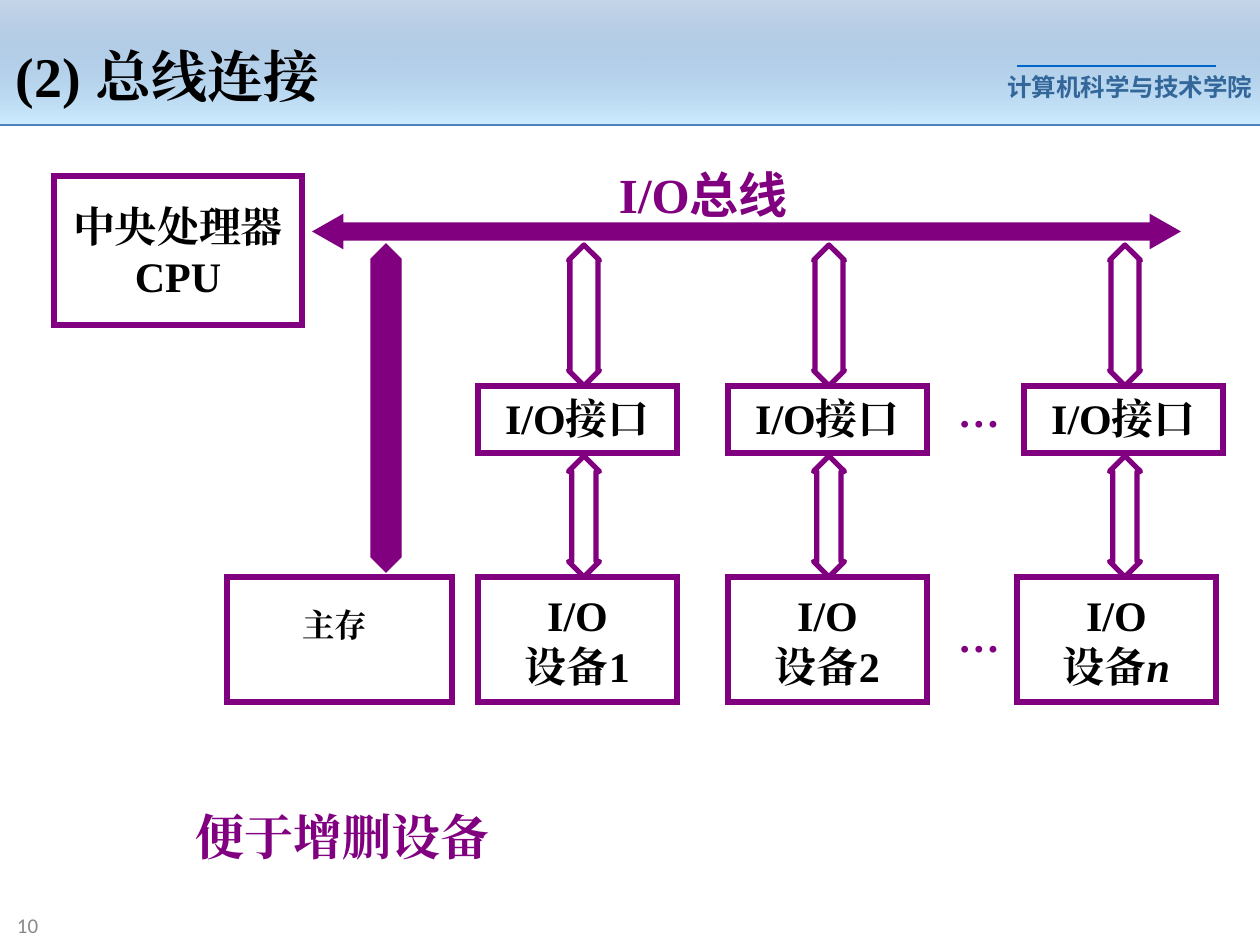
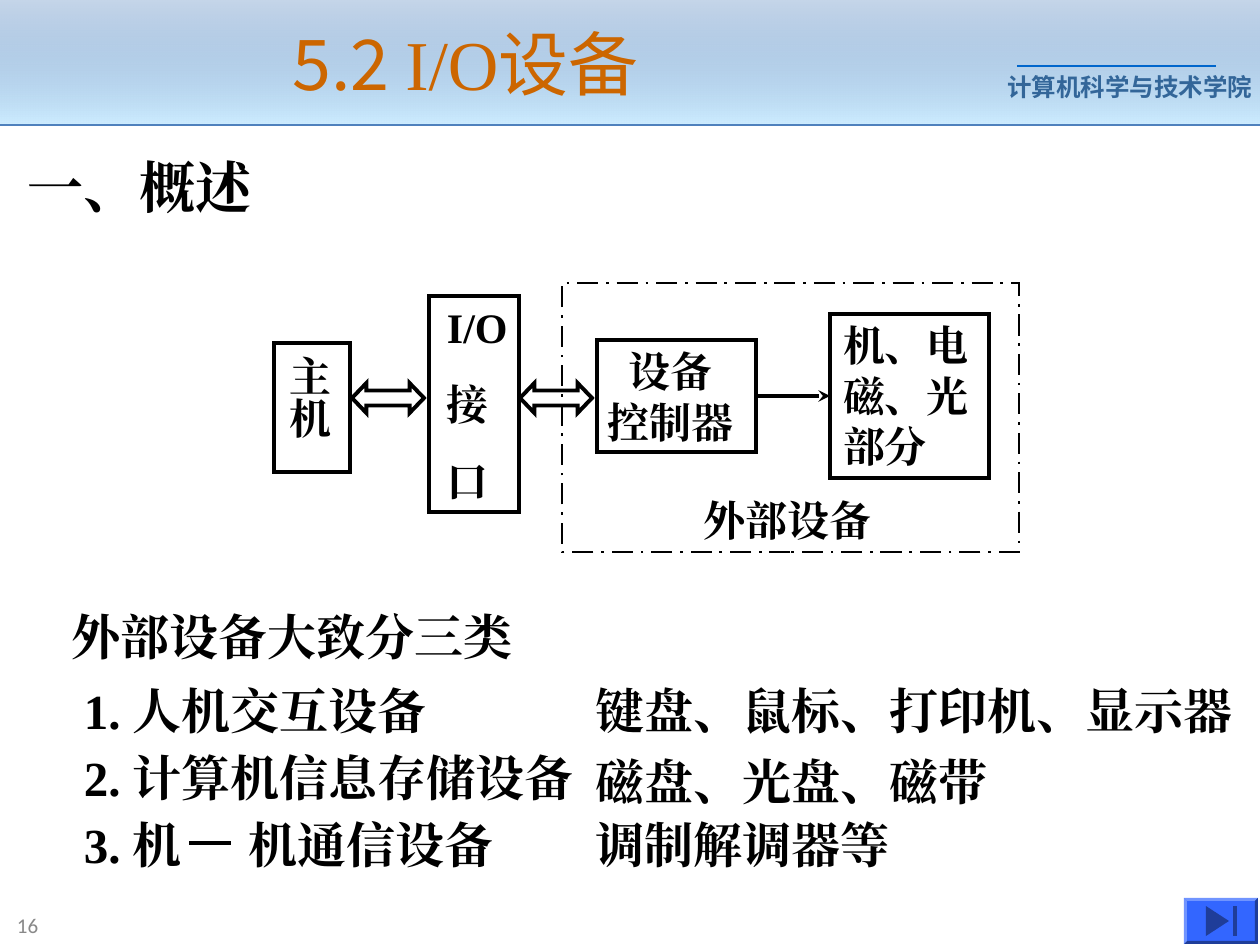
from dataclasses import dataclass

import lxml.etree
import pptx
import pptx.dml.color
import pptx.enum.dml
import pptx.enum.shapes
import pptx.enum.text
import pptx.oxml.ns
import pptx.util

SHAPE = pptx.enum.shapes.MSO_SHAPE
ALIGN = pptx.enum.text.PP_ALIGN
ANCHOR = pptx.enum.text.MSO_ANCHOR
SCALE = 914400 / 126


@dataclass(frozen=True)
class Theme:
    black: str = "000000"
    purple: str = "800080"
    orange: str = "CC6600"
    school: str = "336699"
    school_rule: str = "0066CC"
    band_top: str = "4F81BD"
    band_bottom: str = "CCECFF"
    number: str = "898989"
    button: str = "3366FF"
    button_light: str = "7094FF"
    button_dark: str = "1F3D99"
    serif: str = "Times New Roman"
    sans: str = "Arial"
    cjk: str = "Noto Sans CJK SC"
    digits: str = "Calibri"
    title: int = 40
    heading: int = 32
    body: int = 28
    label: int = 24
    memory: float = 18.6
    small: int = 14
    page: int = 12


T = Theme()


def px(n):
    return round(n * SCALE)


def rgb(color):
    return pptx.dml.color.RGBColor.from_string(color)


def add_xml(parent, tag, **attrs):
    el = lxml.etree.SubElement(parent, pptx.oxml.ns.qn(tag))
    for key, value in attrs.items():
        el.set(key, value)
    return el


def write(sp, text, size=T.label, font=T.serif, color=T.black, bold=True,
          align=ALIGN.LEFT, anchor=ANCHOR.TOP, ins=(13, 6, 13, 6),
          before=0, spacing=None):
    tf = sp.text_frame
    tf.word_wrap = True
    tf.vertical_anchor = anchor
    tf.margin_left, tf.margin_top, tf.margin_right, tf.margin_bottom = map(px, ins)
    lines = [text] if isinstance(text, str) else text
    for i, line in enumerate(lines):
        p = tf.paragraphs[0] if i == 0 else tf.add_paragraph()
        p.alignment = align
        if i and before:
            p.space_before = pptx.util.Pt(before)
        if spacing:
            p.line_spacing = spacing
        for part, own in [(line, {})] if isinstance(line, str) else line:
            r = p.add_run()
            r.text = part
            name = own.get("font", font)
            r.font.name = name
            r.font.size = pptx.util.Pt(size)
            r.font.bold = bold
            r.font.italic = own.get("italic")
            r.font.color.rgb = rgb(color)
            add_xml(r.font._element, "a:ea", typeface=name)
    return sp


def label(s, box, text, **fmt):
    return write(s.shapes.add_textbox(*map(px, box)), text, **fmt)


def outline(s, kind, box, color, width, fill=None, adj=(), join="a:miter"):
    sp = s.shapes.add_shape(kind, *map(px, box))
    sp.shadow.inherit = False
    for i, value in enumerate(adj):
        sp.adjustments[i] = value
    if fill:
        sp.fill.solid()
        sp.fill.fore_color.rgb = rgb(fill)
    else:
        sp.fill.background()
    sp.line.color.rgb = rgb(color)
    sp.line.width = pptx.util.Pt(width)
    add_xml(sp.line._get_or_add_ln(), join)
    return sp


def rule(s, start, end, color, width):
    c = s.shapes.add_connector(pptx.enum.shapes.MSO_CONNECTOR.STRAIGHT,
                               *map(px, start + end))
    c.line.color.rgb = rgb(color)
    c.line.width = pptx.util.Pt(width)
    add_xml(c._element.spPr, "a:effectLst")
    return c


def frame(s, number):
    band = s.shapes.add_shape(SHAPE.RECTANGLE, 0, 0, px(1260), px(125))
    band.shadow.inherit = False
    band.line.fill.background()
    band.fill.gradient()
    band.fill.gradient_angle = 270
    for stop, color in zip(band.fill.gradient_stops, (T.band_top, T.band_bottom)):
        stop.color.rgb = rgb(color)
    add_xml(band._element.xpath(".//a:gs[1]/a:srgbClr")[0], "a:alpha", val="32000")
    label(s, (1007, 66, 248, 43), "计算机科学与技术学院", size=T.small,
          font=T.sans, color=T.school, ins=(0, 6, 0, 6))
    rule(s, (1017, 66), (1216, 66), T.school_rule, 0.75)
    rule(s, (0, 125), (1260, 125), T.band_top, 1.5)
    label(s, (4, 905, 278, 40), number, size=T.page, font=T.digits,
          color=T.number, bold=False, anchor=ANCHOR.MIDDLE)


def purple_box(s, box, text, **fmt):
    sp = outline(s, SHAPE.RECTANGLE, box, T.purple, 3)
    return write(sp, text, align=ALIGN.CENTER, **fmt)


def hollow_arrow(s, center, top, height, width=31):
    outline(s, SHAPE.UP_DOWN_ARROW, (center - width / 2, top, width, height),
            T.purple, 3, adj=(0.5, 0.2 * height / width), join="a:round")


def io_column(s, left, device_left, center, mark, **mark_format):
    width = 199
    hollow_arrow(s, center, 245, 141)
    hollow_arrow(s, center, 456, 121)
    purple_box(s, (left, 386, width, 67), "I/O接口")
    purple_box(s, (device_left, 577, width, 125),
               ["I/O", [("设备", {}), (mark, mark_format)]], ins=(13, 13, 13, 0))


def bus_diagram(s, x, y):
    purple_box(s, (x, y, 248, 149), ["中央处理器", "CPU"],
               anchor=ANCHOR.MIDDLE, ins=(0, 6, 0, 6))
    label(s, (x + 565, y - 11, 272, 59), [[("I/O", {}), ("总线", {"font": T.cjk})]],
          size=T.body, color=T.purple, ins=(0, 0, 0, 0))
    outline(s, SHAPE.LEFT_RIGHT_ARROW, (x + 262, y + 41, 861, 29), T.purple, 2.25,
            fill=T.purple, adj=(0.5, 0.88))
    outline(s, SHAPE.UP_DOWN_ARROW, (x + 317, y + 68, 30, 328), T.purple, 0.75,
            fill=T.purple, adj=(0.5, 1.25))
    purple_box(s, (x + 173, y + 401, 225, 125), "主存", size=T.memory,
               ins=(8, 36, 17, 6), spacing=0.8)
    io_column(s, 478, 478, 584, "1")
    io_column(s, 728, 728, 829, "2")
    io_column(s, 1024, 1017, 1125, "n", italic=True)
    for top in (386, 611):
        label(s, (958, top, 50, 50), "…", color=T.purple, ins=(0, 0, 0, 0))


def bus_slide(prs):
    s = prs.slides.add_slide(prs.slide_layouts[6])
    frame(s, "10")
    label(s, (3, 35, 494, 81), "(2) 总线连接", size=T.heading)
    bus_diagram(s, 54, 176)
    label(s, (183, 800, 829, 72), "便于增删设备", size=T.body, color=T.purple)


def black_box(s, box, text, **fmt):
    return write(outline(s, SHAPE.RECTANGLE, box, T.black, 2.25), text, **fmt)


def device_diagram(s, x, y):
    host = black_box(s, (x, y + 60, 76, 129), "主机", ins=(6, 13, 16, 13))
    host.text_frame._txBody.bodyPr.set("vert", "eaVert")
    controller = black_box(s, (x + 323, y + 57, 159, 112), ["设备", "控制器"],
                           align=ALIGN.CENTER, ins=(0, 6, 12, 6))
    parts = black_box(s, (x + 556, y + 31, 159, 164), ["机、电", "磁、光", "部分"])
    black_box(s, (x + 155, y + 13, 90, 216), ["I/O", "接", "口"],
              ins=(18, 6, 8, 6), before=15)
    peripheral = outline(s, SHAPE.RECTANGLE, (x + 288, y, 457, 269), T.black, 1.5)
    peripheral.line.dash_style = pptx.enum.dml.MSO_LINE.LONG_DASH_DOT
    label(s, (x + 417, y + 206, 287, 63), "外部设备")
    link = rule(s, (x + 482, y + 113), (x + 556, y + 113), T.black, 2.25)
    link.begin_connect(controller, 3)
    link.end_connect(parts, 1)
    add_xml(link.line._get_or_add_ln(), "a:tailEnd", type="stealth")
    for left in (x + 78, x + 246):
        outline(s, SHAPE.LEFT_RIGHT_ARROW, (left, y + 100, 72, 30), T.black, 2.25,
                adj=(0.5, 0.48))


def category_list(s, x, y):
    label(s, (x - 12, y - 74, 609, 72), "外部设备大致分三类", size=T.body)
    rows = [("1. 人机交互设备", "键盘、鼠标、打印机、显示器", 0),
            ("2. 计算机信息存储设备", "磁盘、光盘、磁带", 71),
            ("3. 机", "调制解调器等", 134)]
    for i, (kind, examples, drop) in enumerate(rows):
        label(s, (x, y + 67 * i, 577, 72), kind, size=T.body)
        label(s, (x + 512, y + drop, 693, 72), examples, size=T.body)
    label(s, (x + 165, y + 134, 369, 72), "机通信设备", size=T.body)
    rule(s, (x + 118, y + 169), (x + 160, y + 169), T.black, 2.25)


def polygon(s, points, color):
    start, *rest = points
    fb = s.shapes.build_freeform(*start, scale=SCALE)
    fb.add_line_segments(rest, close=True)
    sp = fb.convert_to_shape()
    sp.shadow.inherit = False
    sp.fill.solid()
    sp.fill.fore_color.rgb = rgb(color)
    sp.line.fill.background()


def end_button(s, x, y, w, h, edge=3):
    outer = [(x, y), (x + w, y), (x + w, y + h), (x, y + h)]
    inner = [(x + edge, y + edge), (x + w - edge, y + edge),
             (x + w - edge, y + h - edge), (x + edge, y + h - edge)]
    polygon(s, outer, T.button)
    shades = (T.button_light, T.button_dark, T.button_dark, T.button_light)
    for i, shade in enumerate(shades):
        j = (i + 1) % 4
        polygon(s, [outer[i], outer[j], inner[j], inner[i]], shade)
    top, bottom = y + 8, y + h - 8
    polygon(s, [(x + 45, y + h / 2), (x + 22, bottom), (x + 22, top)], T.button_dark)
    polygon(s, [(x + 49, top), (x + 49, bottom), (x + 53, bottom), (x + 53, top)],
            T.button_dark)


def device_slide(prs):
    s = prs.slides.add_slide(prs.slide_layouts[6])
    frame(s, "16")
    label(s, (34, 0, 863, 125), [[("5.2 ", {}), ("I/O", {"font": T.serif}), ("设备", {})]],
          size=T.title, font=T.cjk, color=T.orange, bold=False,
          align=ALIGN.CENTER, anchor=ANCHOR.MIDDLE)
    label(s, (15, 147, 325, 81), "一、概述", size=T.heading)
    device_diagram(s, 274, 283)
    category_list(s, 71, 674)
    end_button(s, 1184, 898, 74, 46)


def main():
    prs = pptx.Presentation()
    prs.slide_width, prs.slide_height = px(1260), px(945)
    bus_slide(prs)
    device_slide(prs)
    prs.save("out.pptx")


if __name__ == "__main__":
    main()
